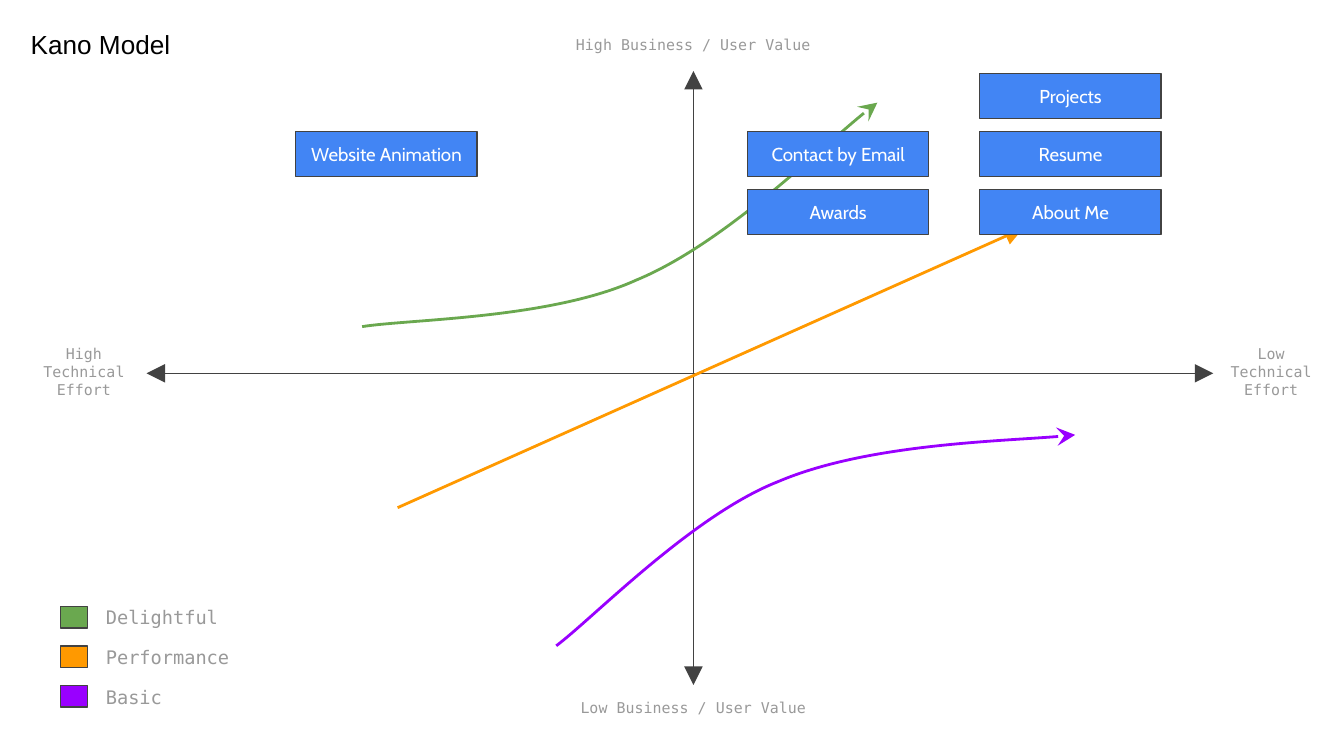
import pptx
import pptx.dml.color
import pptx.enum.shapes
import pptx.enum.text
import pptx.oxml.ns
import pptx.oxml.xmlchemy
import pptx.util

Pt = pptx.util.Pt
RECT = pptx.enum.shapes.MSO_SHAPE.RECTANGLE
LINE = pptx.enum.shapes.MSO_CONNECTOR.STRAIGHT
ANCHOR = pptx.enum.text.MSO_ANCHOR
ALIGN = pptx.enum.text.PP_ALIGN
MONO = "DejaVu Sans Mono"
COLORS = {
    "black": "000000", "white": "FFFFFF", "gray": "999999", "dark": "424242",
    "blue": "4285F4", "green": "6AA84F", "orange": "FF9900", "purple": "9900FF",
}


def tint(name):
    """Return the named colour."""
    return pptx.dml.color.RGBColor.from_string(COLORS[name])


def node(tag):
    """Return a new XML element."""
    return pptx.oxml.xmlchemy.OxmlElement(tag)


def write(shape, text, size=8, font=MONO, color="gray", align=ALIGN.LEFT, anchor=ANCHOR.TOP):
    """Put formatted text in a shape."""
    frame = shape.text_frame
    frame.word_wrap = True
    frame.auto_size = pptx.enum.text.MSO_AUTO_SIZE.NONE
    frame.vertical_anchor = anchor
    frame.margin_left = frame.margin_right = Pt(7.2)
    frame.margin_top = frame.margin_bottom = Pt(7.2)
    para = frame.paragraphs[0]
    para.alignment = align
    run = para.add_run()
    run.text = text
    run.font.size = Pt(size)
    run.font.name = font
    run.font.color.rgb = tint(color)


def label(slide, box, text, **style):
    """Add a text box."""
    write(slide.shapes.add_textbox(*map(Pt, box)), text, **style)


def block(slide, box, color):
    """Add a filled rectangle with a dark outline."""
    shape = slide.shapes.add_shape(RECT, *map(Pt, box))
    shape.shadow.inherit = False
    shape.fill.solid()
    shape.fill.fore_color.rgb = tint(color)
    shape.line.color.rgb = tint("dark")
    shape.line.width = Pt(0.75)
    return shape


def stroke(shape, color, width, **ends):
    """Style a line and give its ends large arrowheads."""
    shape.line.color.rgb = tint(color)
    shape.line.width = Pt(width)
    line = shape.line._get_or_add_ln()
    for end, kind in ends.items():
        tip = node(f"a:{end}End")
        tip.set("type", kind)
        tip.set("w", "lg")
        tip.set("len", "lg")
        line.append(tip)


def arrow(slide, start, stop, color, width, **ends):
    """Add a straight arrow."""
    link = slide.shapes.add_connector(LINE, *map(Pt, (*start, *stop)))
    stroke(link, color, width, **ends)
    link.element.spPr.append(node("a:effectLst"))


def curve(slide, left, top, nodes, color):
    """Add an arrow along cubic curves, three nodes to each."""
    spots = [(left + x, top + y) for x, y in nodes]
    build = slide.shapes.build_freeform(*spots[0], scale=Pt(1))
    build.add_line_segments(spots[1:], close=False)
    shape = build.convert_to_shape()
    shape.shadow.inherit = False
    shape.fill.background()
    parts = list(shape.element.iter(pptx.oxml.ns.qn("a:lnTo")))
    for i in range(0, len(parts), 3):
        bend = node("a:cubicBezTo")
        parts[i].addprevious(bend)
        for part in parts[i:i + 3]:
            bend.append(part[0])
            part.getparent().remove(part)
    stroke(shape, color, 1.5, tail="stealth")


def heading(slide, box, text):
    """Place the slide title."""
    title = slide.shapes.title
    title.left, title.top, title.width, title.height = map(Pt, box)
    write(title, text, size=14, font="Arial", color="black")


def axes(slide, box):
    """Draw the two axes and their end labels."""
    left, top, width, height = box
    mid, level = left + 293, top + 162
    both = {"head": "triangle", "tail": "triangle"}
    arrow(slide, (mid, top), (mid, top + height), "dark", 0.75, **both)
    arrow(slide, (left + width, level), (left, level), "dark", 0.75, **both)
    for y, text in ((top - 26, "High"), (top + height, "Low")):
        label(slide, (mid - 70.5, y, 141, 26), f"{text} Business / User Value",
              align=ALIGN.CENTER)
    for x, wide, text in ((left - 70.5, 74, "High"), (left + width, 62, "Low")):
        label(slide, (x, level - 14, wide, 26), f"{text} Technical Effort",
              align=ALIGN.CENTER, anchor=ANCHOR.MIDDLE)


def trends(slide, box):
    """Draw the three trend arrows."""
    left, top = box[:2]
    curve(slide, left, top, [(116, 137), (140.4, 132.6), (216.7, 132.6), (262.8, 112.5),
                             (308.1, 93), (369.3, 32.6), (391, 16.7)], "green")
    curve(slide, left, top, [(219, 308.3), (239, 293.2), (292.3, 238.5), (338.4, 219.8),
                             (385.2, 200.3), (471, 198.2), (497.5, 194.6)], "purple")
    arrow(slide, (left + 134.5, top + 234), (left + 469.5, top + 84.4),
          "orange", 1.5, tail="triangle")


def legend(slide, box):
    """List the trend names beside their colours."""
    left, top, width, height = box
    names = {"Delightful": "green", "Performance": "orange", "Basic": "purple"}
    for i, (text, color) in enumerate(names.items()):
        y = top + i * height / len(names)
        block(slide, (left, y, 14.4, 11.6), color)
        label(slide, (left + 17.3, y - 7.2, width - 17.3, 26), text, size=10)


def cards(slide, box):
    """Place the feature cards by column and row."""
    left, top, width, height = box
    columns = {
        0: ["", "Website Animation"],
        242: ["", "Contact by Email", "Awards"],
        width - 97.2: ["Projects", "Resume", "About Me"],
    }
    step = (height - 24) / 2
    for x, names in columns.items():
        for row, text in enumerate(names):
            if text:
                card = block(slide, (left + x, top + row * step, 97.2, 24), "blue")
                write(card, text, size=10, font="Cabin", color="white",
                      align=ALIGN.CENTER, anchor=ANCHOR.MIDDLE)


def main():
    """Build and save the slide."""
    deck = pptx.Presentation()
    deck.slide_width, deck.slide_height = Pt(720), Pt(405)
    slide = deck.slides.add_slide(deck.slide_layouts[5])
    plot = (78.5, 38, 571.5, 329)
    heading(slide, (9.2, 7.8, 112.5, 22.5), "Kano Model")
    axes(slide, plot)
    trends(slide, plot)
    legend(slide, (32.4, 324.8, 158.4, 63.6))
    cards(slide, (158.4, 39.5, 463.7, 86))
    deck.save("out.pptx")


if __name__ == "__main__":
    main()
